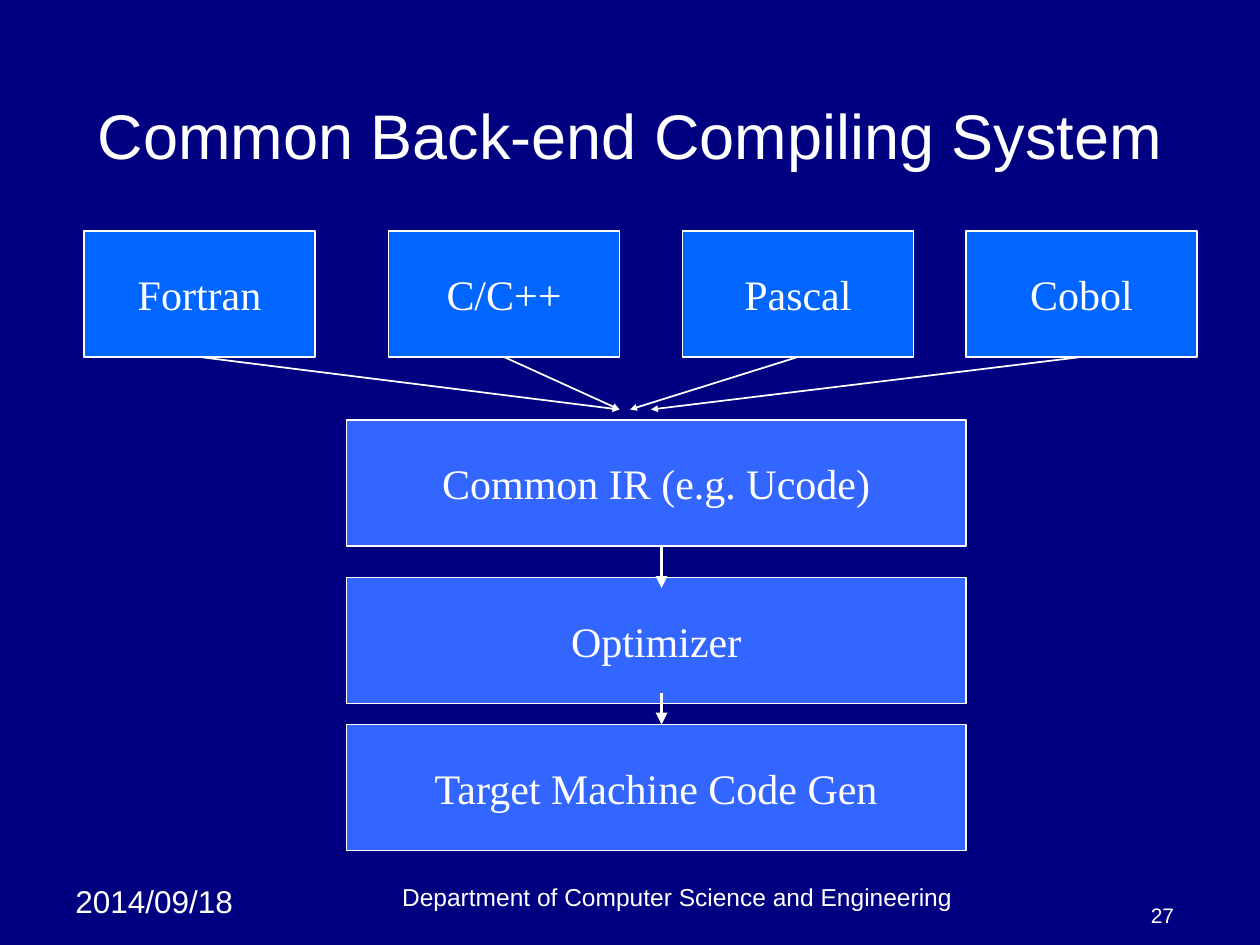
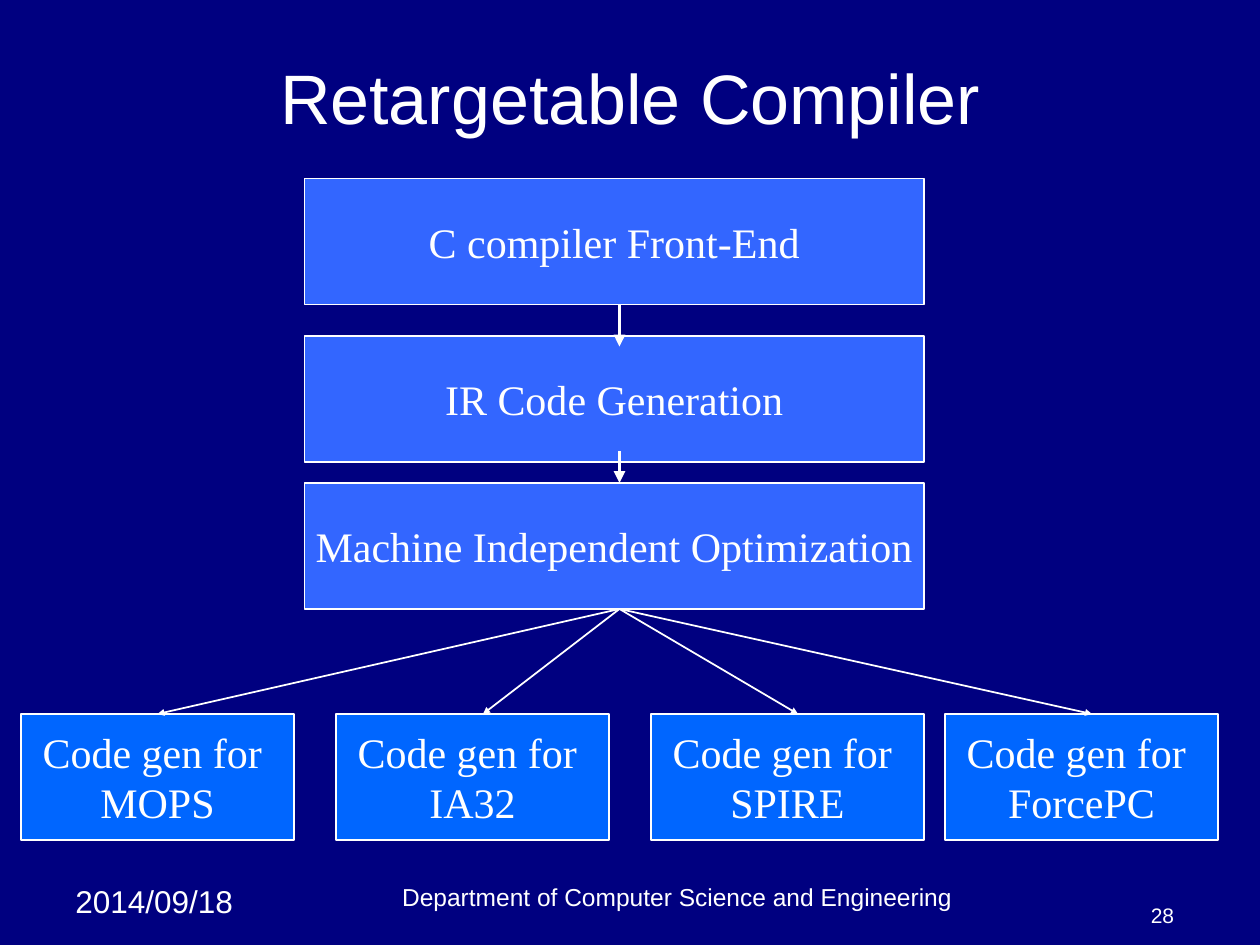
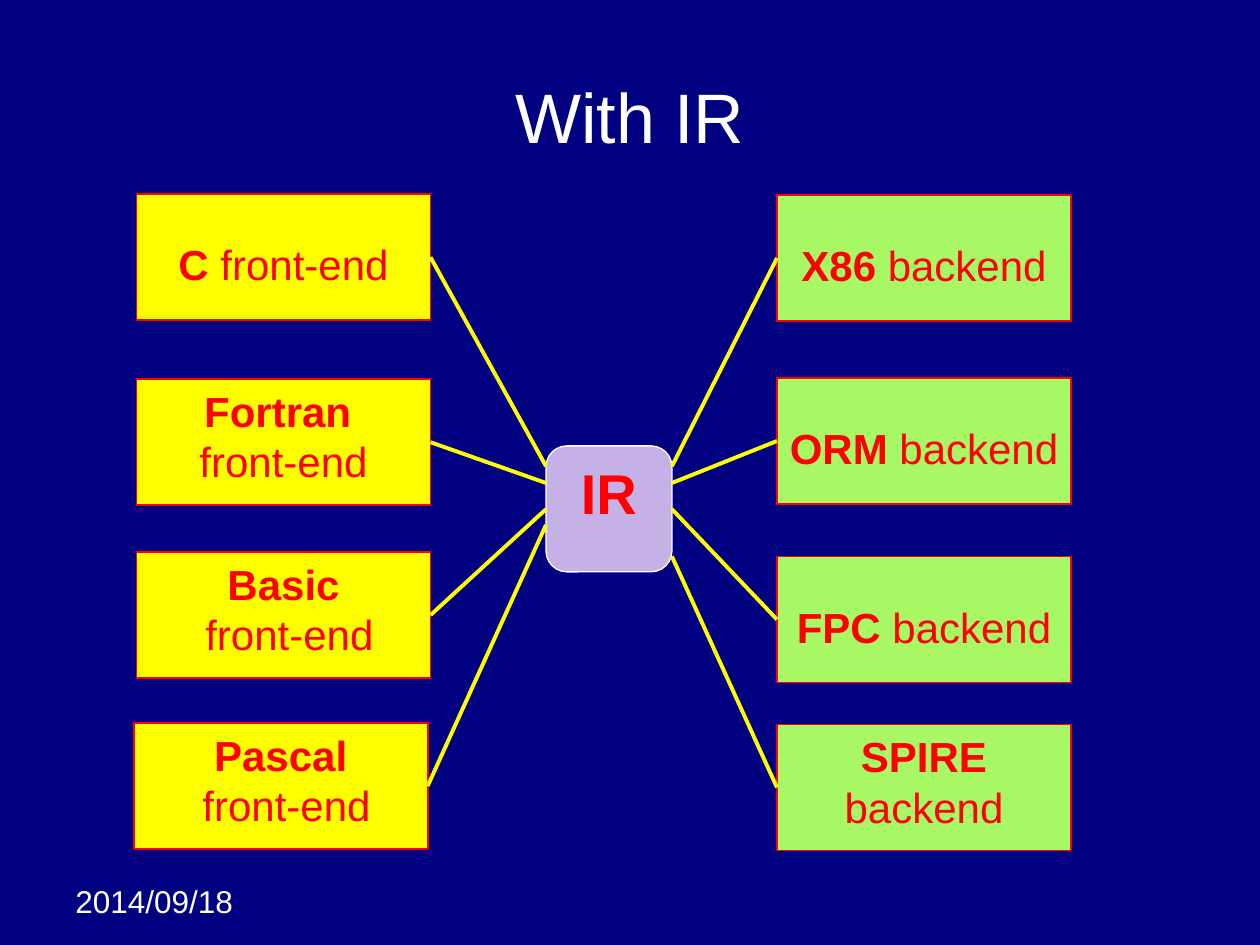
from lxml import etree
from pptx import Presentation
from pptx.dml.color import RGBColor
from pptx.enum.shapes import MSO_CONNECTOR, MSO_SHAPE
from pptx.enum.text import MSO_ANCHOR, MSO_AUTO_SIZE, PP_ALIGN
from pptx.oxml.ns import qn
from pptx.util import Pt

LEFT, CENTER, RIGHT = PP_ALIGN.LEFT, PP_ALIGN.CENTER, PP_ALIGN.RIGHT
TOP, MIDDLE, BOTTOM = MSO_ANCHOR.TOP, MSO_ANCHOR.MIDDLE, MSO_ANCHOR.BOTTOM
RECT, ROUNDED = MSO_SHAPE.RECTANGLE, MSO_SHAPE.ROUNDED_RECTANGLE
STRAIGHT = MSO_CONNECTOR.STRAIGHT
NO_FIT = MSO_AUTO_SIZE.NONE

SANS, SERIF = "Arial", "Times New Roman"
COLORS = {
    "navy": "000080",
    "white": "FFFFFF",
    "blue": "0066FF",
    "stage": "3366FF",
    "yellow": "FFFF00",
    "green": "A7F864",
    "lilac": "C5B1E5",
    "red": "FF0000",
}
BOX_H = 72
STAGE_W = 354
END_W = 168
TEXT_TOP, LOW_TEXT_TOP = 3.6, 25.5


def rgb(name):
    return RGBColor.from_string(COLORS[name])


def write(tf, lines, size, font=SANS, color="white", align=CENTER):
    for i, line in enumerate(lines):
        p = tf.paragraphs[0] if i == 0 else tf.add_paragraph()
        p.alignment = align
        p.font.size = Pt(size)
        p.font.name = font
        p.font.color.rgb = rgb(color)
        for text in line:
            p.add_run().text = text


def add_label(s, x, y, w, h, text, size, align, anchor):
    tf = s.shapes.add_textbox(Pt(x), Pt(y), Pt(w), Pt(h)).text_frame
    tf.word_wrap = True
    tf.vertical_anchor = anchor
    write(tf, [[text]], size, align=align)


def add_slide(prs, title, top, height, size, number=None):
    s = prs.slides.add_slide(prs.slide_layouts[5])
    sp = s.shapes.title
    sp.left, sp.top, sp.width, sp.height = Pt(36), Pt(top), Pt(648), Pt(height)
    tf = sp.text_frame
    tf.auto_size = NO_FIT
    tf.vertical_anchor = MIDDLE
    write(tf, [[title]], size)
    add_label(s, 36, 500.4, 114, 29, "2014/09/18", 18, LEFT, TOP)
    if number:
        add_label(s, 144, 500.4, 486, 24,
                  "Department of Computer Science and Engineering", 14, CENTER, BOTTOM)
        add_label(s, 630, 509.6, 48, 24, number, 12, RIGHT, BOTTOM)
    return s


def add_shape(s, x, y, w, fill, line, width=1, kind=RECT):
    sp = s.shapes.add_shape(kind, Pt(x), Pt(y), Pt(w), Pt(BOX_H))
    sp.shadow.inherit = False
    sp.fill.solid()
    sp.fill.fore_color.rgb = rgb(fill)
    sp.line.color.rgb = rgb(line)
    sp.line.width = Pt(width)
    return sp


def add_box(s, x, y, w, lines, fill):
    tf = add_shape(s, x, y, w, fill, "white").text_frame
    tf.word_wrap = False
    tf.vertical_anchor = MIDDLE
    write(tf, [[line] for line in lines], 24, SERIF)


def add_line(s, x1, y1, x2, y2, width=1, color="white", head="sm"):
    c = s.shapes.add_connector(STRAIGHT, Pt(x1), Pt(y1), Pt(x2), Pt(y2))
    c.line.color.rgb = rgb(color)
    c.line.width = Pt(width)
    sp_pr = c._element.spPr
    if head:
        etree.SubElement(sp_pr.find(qn("a:ln")), qn("a:tailEnd"),
                         type="triangle", w=head, len=head)
    etree.SubElement(sp_pr, qn("a:effectLst"))


def add_stages(s, x, y, labels):
    for label, offset in zip(labels, (0, 90, 174)):
        add_box(s, x, y + offset, STAGE_W, [label], "stage")
    for start, end in ((156, 174), (72, 96)):
        add_line(s, x + 180, y + start, x + 180, y + end, 2.25, head="med")


def add_end(s, x, y, lines, fill, text_top):
    tf = add_shape(s, x, y, END_W, fill, "red").text_frame
    tf.word_wrap = True
    tf.vertical_anchor = TOP
    tf.margin_top = Pt(text_top)
    write(tf, lines, 24, color="red")
    tf.paragraphs[0].runs[0].font.bold = True


def common_back_end(prs):
    s = add_slide(prs, "Common Back-end Compiling System", 42, 70, 36, "27")
    languages = [("Fortran", 48, 354), ("C/C++", 222, 354),
                 ("Pascal", 390, 360), ("Cobol", 552, 372)]
    w, top = 132, 132
    for name, x, _ in languages:
        add_box(s, x, top, w, [name], "blue")
    add_stages(s, 198, 240,
               ["Common IR (e.g. Ucode)", "Optimizer", "Target Machine Code Gen"])
    for _, x, tip in languages:
        add_line(s, x + w / 2, top + BOX_H, tip, 234)


def retargetable(prs):
    s = add_slide(prs, "Retargetable Compiler", 22, 66, 40, "28")
    add_stages(s, 174, 102, ["C compiler Front-End", "IR Code Generation",
                             "Machine Independent Optimization"])
    targets = [("MOPS", 12, 90), ("IA32", 192, 276),
               ("SPIRE", 372, 456), ("ForcePC", 540, 624)]
    for name, x, _ in targets:
        add_box(s, x, 408, 156, ["Code gen for ", name], "blue")
    for _, _, tip in targets:
        add_line(s, 354, 348, tip, 408)


def with_ir(prs):
    s = add_slide(prs, "With IR", 30, 72, 40)
    ir_x, ir_y, ir_w = 312, 254.8, 72
    fronts = [
        (78, 111, [["C", " front-end"]], LOW_TEXT_TOP, 266.4),
        (78, 216.7, [["Fortran "], ["front-end"]], TEXT_TOP, 276),
        (78, 315.5, [["Basic"], [" front-end"]], TEXT_TOP, 291),
        (76.4, 413.2, [["Pascal"], [" front-end"]], TEXT_TOP, 300),
    ]
    backs = [
        (444, 111.5, [["X86", " backend"]], LOW_TEXT_TOP, 266.4),
        (444, 216, [["ORM", " backend"]], LOW_TEXT_TOP, 276),
        (444, 318, [["FPC", " backend"]], LOW_TEXT_TOP, 291),
        (444, 414, [["SPIRE", " backend"]], TEXT_TOP, 318),
    ]
    for ends, fill in ((fronts, "yellow"), (backs, "green")):
        for x, y, lines, text_top, _ in ends:
            add_end(s, x, y, lines, fill, text_top)
    sp = add_shape(s, ir_x, ir_y, ir_w, "lilac", "white", 0.75, ROUNDED)
    tf = sp.text_frame
    tf.vertical_anchor = TOP
    write(tf, [["IR"]], 32, color="red")
    tf.paragraphs[0].font.bold = True
    for ends, end_side, ir_side in ((fronts, END_W, ir_x), (backs, 0, ir_x + ir_w)):
        for x, y, _, _, ir_end in ends:
            add_line(s, x + end_side, y + BOX_H / 2, ir_side, ir_end,
                     2.25, "yellow", None)


def main():
    prs = Presentation()
    prs.slide_width, prs.slide_height = Pt(720), Pt(540)
    fill = prs.slide_master.background.fill
    fill.solid()
    fill.fore_color.rgb = rgb("navy")
    common_back_end(prs)
    retargetable(prs)
    with_ir(prs)
    prs.save("out.pptx")


if __name__ == "__main__":
    main()
